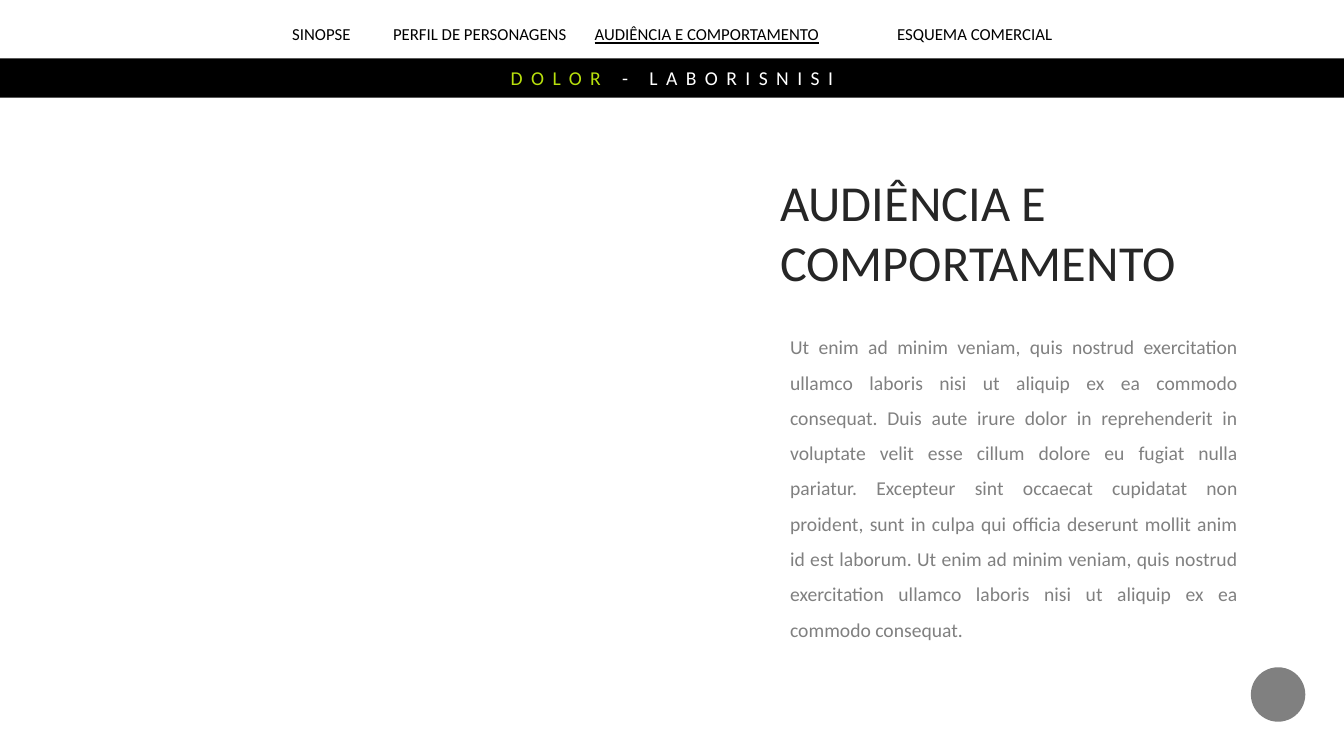
from lxml.etree import SubElement
from pptx import Presentation
from pptx.dml.color import RGBColor
from pptx.enum.shapes import MSO_SHAPE as Shape
from pptx.enum.text import MSO_ANCHOR as Anchor, MSO_AUTO_SIZE as Fit, PP_ALIGN as Align
from pptx.oxml.ns import qn
from pptx.util import Pt

BLACK = RGBColor(0x00, 0x00, 0x00)
WHITE = RGBColor(0xFF, 0xFF, 0xFF)
DARK = RGBColor(0x26, 0x26, 0x26)
GREY = RGBColor(0x80, 0x80, 0x80)
LIME = RGBColor(0xB8, 0xE0, 0x0D)
FONT = "Calibri"
WIDE, HIGH = 960, 540
LEFT = 557.28
STOPS = (72, 216, 432)
BODY = (
    "Ut enim ad minim veniam, quis nostrud exercitation ullamco laboris nisi "
    "ut aliquip ex ea commodo consequat. Duis aute irure dolor in "
    "reprehenderit in voluptate velit esse cillum dolore eu fugiat nulla "
    "pariatur. Excepteur sint occaecat cupidatat non proident, sunt in culpa "
    "qui officia deserunt mollit anim id est laborum. Ut enim ad minim veniam, "
    "quis nostrud exercitation ullamco laboris nisi ut aliquip ex ea commodo "
    "consequat."
)


def write(para, text, size=12, color=BLACK, under=False, gap=0):
    for row, line in enumerate(text.split("\n")):
        if row:
            para.add_line_break()
        run = para.add_run()
        run.text = line
        font = run.font
        font.name, font.size, font.underline = FONT, Pt(size), under
        font.color.rgb = color
        if gap:
            run._r.get_or_add_rPr().set("spc", str(gap * 100))


class Deck:
    def __init__(self):
        self.show = Presentation()
        self.show.slide_width, self.show.slide_height = Pt(WIDE), Pt(HIGH)
        self.slide = self.show.slides.add_slide(self.show.slide_layouts[5])
        self.shapes = self.slide.shapes

    def frame(self, shape, align, anchor=Anchor.TOP, inset=(7.2, 3.6, 7.2, 3.6)):
        frame = shape.text_frame
        frame.word_wrap = True
        frame.auto_size = Fit.NONE
        frame.vertical_anchor = anchor
        (frame.margin_left, frame.margin_top,
         frame.margin_right, frame.margin_bottom) = map(Pt, inset)
        para = frame.paragraphs[0]
        para.alignment = align
        return para

    def title(self, text, box):
        shape = self.shapes.title
        shape.left, shape.top, shape.width, shape.height = map(Pt, box)
        para = self.frame(shape, Align.LEFT, Anchor.MIDDLE, (0, 0, 7.2, 0))
        write(para, text, size=36, color=DARK)

    def text(self, box, align):
        return self.frame(self.shapes.add_textbox(*map(Pt, box)), align)

    def solid(self, kind, box, color):
        shape = self.shapes.add_shape(kind, *map(Pt, box))
        shape.shadow.inherit = False
        shape.fill.solid()
        shape.fill.fore_color.rgb = color
        shape.line.fill.background()
        return shape

    def menu(self, box, items, active):
        para = self.text(box, Align.CENTER)
        tabs = SubElement(para._p.get_or_add_pPr(), qn("a:tabLst"))
        for stop in STOPS:
            SubElement(tabs, qn("a:tab"), pos=str(Pt(stop)), algn="l")
        for spot, item in enumerate(items):
            if spot:
                write(para, "\t")
            write(para, item, under=item == active)

    def band(self, box, parts):
        shape = self.solid(Shape.RECTANGLE, box, BLACK)
        para = self.frame(shape, Align.CENTER, Anchor.MIDDLE, (6, 6, 6, 6))
        for text, color in parts:
            write(para, text, size=14, color=color, gap=6)


def main():
    deck = Deck()
    deck.title("AUDIÊNCIA E\nCOMPORTAMENTO", (LEFT, 121.68, 321.12, 87.12))
    body = deck.text((LEFT, 227.52, 334.08, 210.96), Align.JUSTIFY)
    body.line_spacing = 1.5
    write(body, BODY, size=14, color=GREY)
    active = "AUDIÊNCIA E COMPORTAMENTO"
    items = ("SINOPSE", "PERFIL DE PERSONAGENS", active, "ESQUEMA COMERCIAL")
    deck.menu((183.6, 13.68, 593.28, 21.6), items, active)
    deck.solid(Shape.OVAL, (893.52, 476.64, 38.88, 38.88), GREY)
    deck.band((0, 41.76, WIDE, 28.08), (("DOLOR", LIME), (" - LABORISNISI", WHITE)))
    deck.show.save("out.pptx")


if __name__ == "__main__":
    main()
